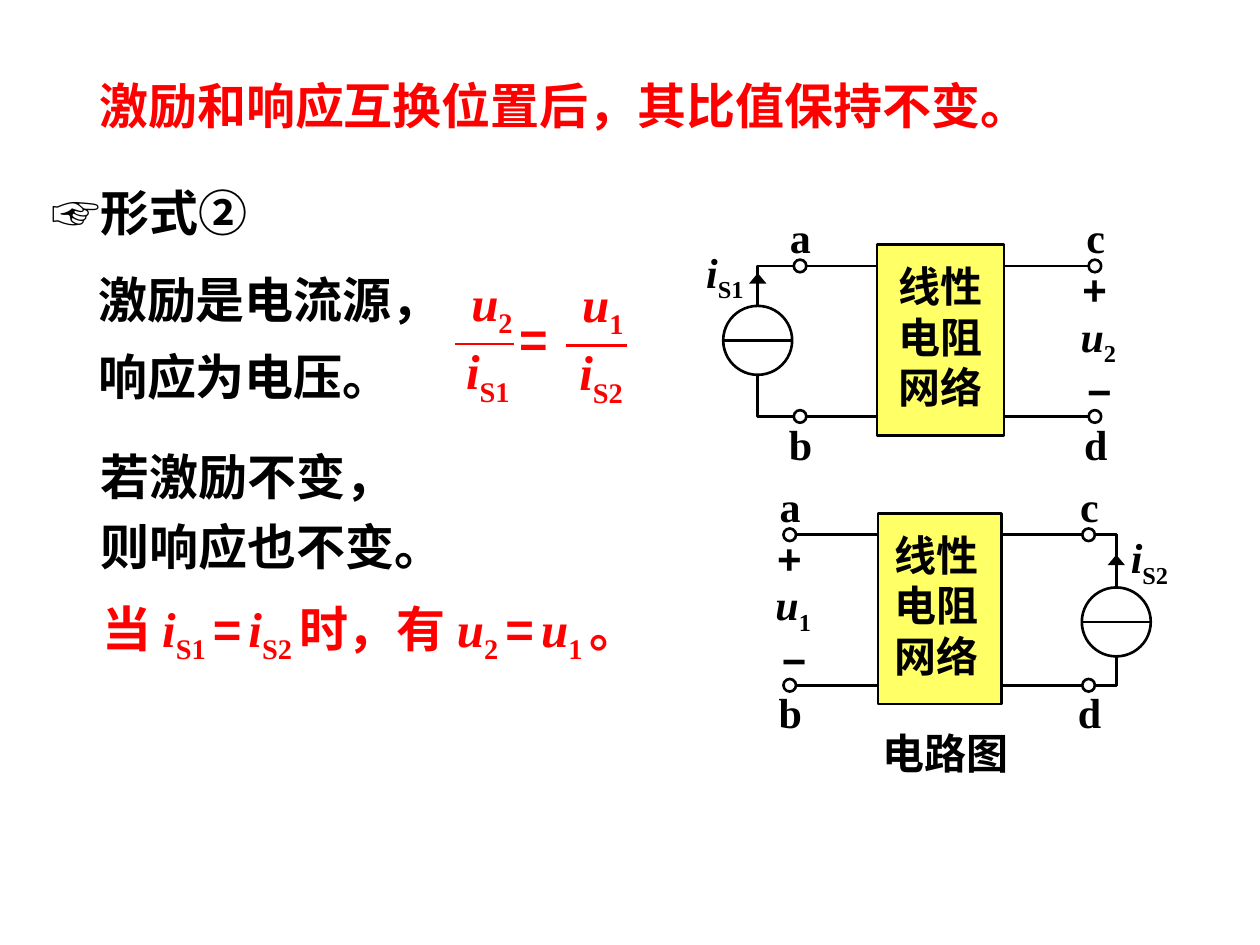
from dataclasses import dataclass
from typing import NamedTuple, Optional

import pptx
import pptx.dml.color
import pptx.enum.shapes
import pptx.enum.text
import pptx.oxml
import pptx.oxml.ns
import pptx.util

Pt = pptx.util.Pt
SHAPES = pptx.enum.shapes.MSO_SHAPE
ALIGN = pptx.enum.text.PP_ALIGN
BLACK, RED, WHITE, YELLOW = "000000", "FF0000", "FFFFFF", "FFFF66"
ROMAN, SANS, CJK = "Times New Roman", "Arial", "Noto Sans CJK SC"


class Run(NamedTuple):
    text: str
    italic: bool = False
    sub: bool = False
    font: Optional[str] = None


@dataclass
class Style:
    font: str = ROMAN
    size: float = 24
    color: str = BLACK
    before: float = 0
    spacing: Optional[float] = None
    center: bool = False
    wrap: bool = False
    insets: tuple = (1.5, 0.75)


@dataclass
class Circuit:
    top: float            # height of the upper wire
    box: tuple            # left and right side of the network
    left: float           # terminals a and b
    right: float          # terminals c and d
    source: tuple         # centre of the current source
    current: list
    current_at: tuple
    voltage: list
    source_left: bool


def rgb(color: str):
    return pptx.dml.color.RGBColor.from_string(color)


def symbol(name: str, index: str) -> list:
    return [Run(name, italic=True), Run(index, sub=True)]


def text(s, x: float, y: float, w: float, h: float, lines: list, style: Style) -> None:
    """Each line is a list of runs."""
    tf = s.shapes.add_textbox(Pt(x), Pt(y), Pt(w), Pt(h)).text_frame
    tf.word_wrap = style.wrap
    tf.auto_size = pptx.enum.text.MSO_AUTO_SIZE.SHAPE_TO_FIT_TEXT
    tf.margin_left = tf.margin_right = Pt(style.insets[0])
    tf.margin_top = tf.margin_bottom = Pt(style.insets[1])
    for i, line in enumerate(lines):
        p = tf.paragraphs[0] if i == 0 else tf.add_paragraph()
        p.space_before = Pt(style.before)
        p.line_spacing = style.spacing
        p.alignment = ALIGN.CENTER if style.center else ALIGN.LEFT
        p.font.name, p.font.size, p.font.bold = style.font, Pt(style.size), True
        p.font.color.rgb = rgb(style.color)
        for run in line:
            r = p.add_run()
            r.text = run.text
            if run.italic:
                r.font.italic = True
            if run.font:
                r.font.name = run.font
            if run.sub:
                r.font._element.set("baseline", "-25000")


def outline(sp, fill: Optional[str]) -> None:
    sp.shadow.inherit = False
    if fill:
        sp.fill.solid()
        sp.fill.fore_color.rgb = rgb(fill)
    else:
        sp.fill.background()
    sp.line.color.rgb = rgb(BLACK)
    sp.line.width = Pt(1.5)


def shape(s, kind, x: float, y: float, w: float, h: float, fill: str) -> None:
    outline(s.shapes.add_shape(kind, Pt(x), Pt(y), Pt(w), Pt(h)), fill)


def line(s, x1: float, y1: float, x2: float, y2: float,
         color: str = BLACK, arrow: bool = False) -> None:
    straight = pptx.enum.shapes.MSO_CONNECTOR.STRAIGHT
    sp = s.shapes.add_connector(straight, Pt(x1), Pt(y1), Pt(x2), Pt(y2))
    sp.line.color.rgb = rgb(color)
    sp.line.width = Pt(1.5)
    if arrow:
        tail = pptx.oxml.parse_xml(
            f'<a:tailEnd {pptx.oxml.ns.nsdecls("a")} type="triangle" w="lg" len="med"/>')
        sp.line._get_or_add_ln().append(tail)
    sp._element.spPr.append(pptx.oxml.parse_xml(f'<a:effectLst {pptx.oxml.ns.nsdecls("a")}/>'))


def draw_circuit(s, c: Circuit) -> None:
    bottom, radius = c.top + 86, 3.6
    box_left, box_right = c.box
    # Network
    shape(s, SHAPES.RECTANGLE, box_left, c.top - 12.2, box_right - box_left, 109, YELLOW)
    middle = 537.5 if c.source_left else 535
    text(s, middle - 30.2, c.top + 1.6, 60.5, 83,
         [[Run(name)] for name in ("线性", "电阻", "网络")],
         Style(before=6, spacing=0.8, center=True, wrap=True))

    # Wires: a loop on the source side, two ends on the other
    x, y = c.source
    inner, outer = (box_left, c.right) if c.source_left else (box_right, c.left)
    loop = s.shapes.build_freeform(Pt(inner), Pt(c.top))
    loop.add_line_segments([(Pt(x), Pt(c.top)), (Pt(x), Pt(bottom)), (Pt(inner), Pt(bottom))],
                           close=False)
    outline(loop.convert_to_shape(), None)
    for wire in (c.top, bottom):
        if c.source_left:
            line(s, box_right, wire, outer - radius, wire)
        else:
            line(s, outer + radius, wire, box_left, wire)

    # Current source
    size = 39.4
    line(s, x, y - size / 2, x, y - size / 2 - 18.7, arrow=True)
    shape(s, SHAPES.OVAL, x - size / 2, y - size / 2, size, size, WHITE)
    line(s, x - size / 2, y, x + size / 2, y)
    text(s, *c.current_at, 25, 34.5, [c.current], Style())

    # Terminals and their letters
    for name, width, tx, ty, dy in (("a", 15.5, c.left, c.top, -31.7), ("b", 16.5, c.left, bottom, 0.2),
                                    ("c", 13.5, c.right, c.top, -31.7), ("d", 16, c.right, bottom, 0.2)):
        shape(s, SHAPES.OVAL, tx - radius, ty - radius, 2 * radius, 2 * radius, WHITE)
        text(s, tx - width / 2 + 0.4, ty + dy, width, 30, [[Run(name)]], Style(before=6))

    # Voltage
    text(s, outer - 9.7, c.top + 24.4, 25, 34.5, [c.voltage], Style())
    for sign, width, dy in (("+", 17, -2.3), ("−", 11.5, 56.1)):
        text(s, outer - width / 2 - 0.2, c.top + dy, width, 30, [[Run(sign)]], Style(font=SANS))


def fraction(s, x: float, y: float, w: float, top: list, under: list, dx: tuple) -> None:
    style = Style(size=28, color=RED, before=7)
    text(s, x + dx[0], y - 41.6, 29, 40.3, [top], style)
    line(s, x, y, x + w, y, RED)
    text(s, x + dx[1], y - 2.6, 29, 40.3, [under], style)


def main() -> None:
    prs = pptx.Presentation()
    prs.slide_width, prs.slide_height = Pt(720), Pt(540)
    s = prs.slides.add_slide(prs.slide_layouts[6])
    wide = (7.2, 3.6)
    u1, u2, i1, i2 = symbol("u", "1"), symbol("u", "2"), symbol("i", "S1"), symbol("i", "S2")

    # Headings
    text(s, 49.7, 36.3, 546, 44.6, [[Run("激励和响应互换位置后，其比值保持不变。")]],
         Style(SANS, 28, RED, before=7, spacing=1.1, insets=wide))
    text(s, 22.3, 100.8, 236, 41, [[Run("☞", font=SANS), Run("形式"), Run("②", font=CJK)]],
         Style(size=28, wrap=True, insets=wide))

    # Circuits
    draw_circuit(s, Circuit(152, (501.2, 573.8), 457.2, 625.7, (433, 194.5),
                            i1, (402, 140), u2, True))
    draw_circuit(s, Circuit(305.6, (501.8, 572.4), 451.3, 622.1, (637.9, 355.4),
                            i2, (644.7, 303.1), u1, False))
    text(s, 496, 415, 88.6, 30, [[Run("电路图")]], Style(center=True, wrap=True))

    # Statement and ratio
    text(s, 49, 146.9, 210, 88.6, [[Run("激励是电流源，")], [Run("响应为电压。")]],
         Style(SANS, 28, before=7, spacing=1.1, insets=wide))
    fraction(s, 260, 196.6, 33.8, u2, i1, (7.8, 4.8))
    text(s, 295.2, 175.7, 25, 35.3, [[Run("=")]], Style(SANS, 28, RED, before=7))
    fraction(s, 323.3, 197.3, 35.2, u1, i2, (7.9, 6.2))

    # Conclusion
    text(s, 50.4, 244.8, 245, 88, [[Run("若激励不变，")], [Run("则响应也不变。")]],
         Style(SANS, 28, spacing=1.2, wrap=True, insets=wide))
    gap = Run(" ", sub=True)
    equals = [gap, Run("=", font=SANS), gap]
    text(s, 51.3, 338.4, 374.4, 45.4,
         [[Run("当 "), *i1, *equals, *i2, gap, Run("时，有 "),
           *u2, *equals, *u1, gap, Run("。")]],
         Style(size=28, color=RED, before=17.5, wrap=True, insets=wide))

    prs.save("out.pptx")


if __name__ == "__main__":
    main()
